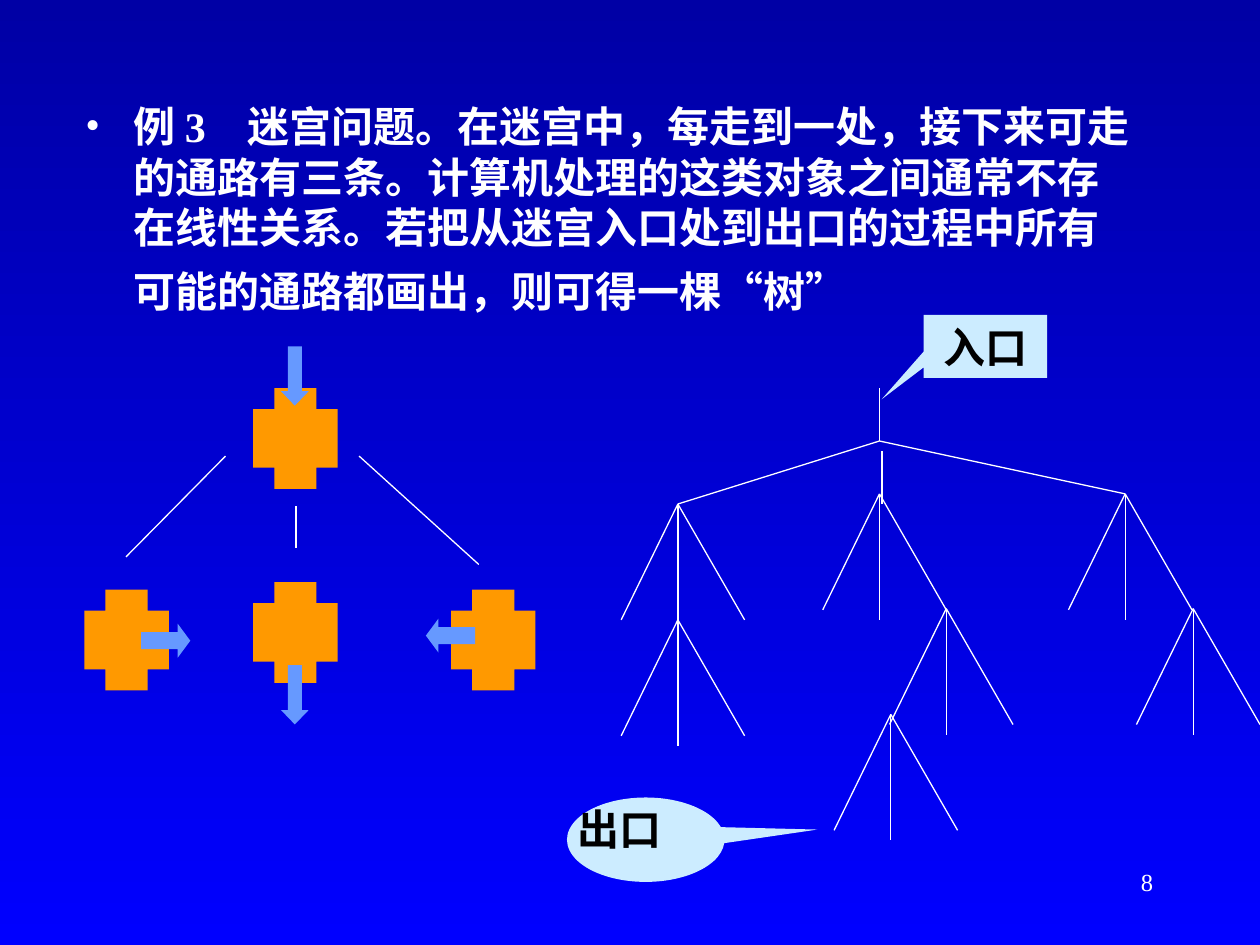
from dataclasses import dataclass

import lxml.etree
import pptx
import pptx.dml.color
import pptx.enum.shapes
import pptx.enum.text
import pptx.oxml.ns
import pptx.util

Inches = pptx.util.Inches
Shape = pptx.enum.shapes.MSO_SHAPE
Align = pptx.enum.text.PP_ALIGN
Anchor = pptx.enum.text.MSO_ANCHOR

COLORS = {
    "night": "0000A5",
    "blue": "0000FF",
    "white": "FFFFFF",
    "black": "000000",
    "room": "FF9900",
    "arrow": "6699FF",
    "callout": "CCECFF",
}
FONT = "Times New Roman"


@dataclass
class Box:
    left: float
    top: float
    width: float
    height: float

    def lengths(self) -> tuple:
        return tuple(Inches(v) for v in (self.left, self.top, self.width, self.height))


@dataclass
class Arrow:
    box: Box
    head: float
    rotation: int = 0


@dataclass
class Line:
    x1: float
    y1: float
    x2: float
    y2: float


def rgb(name: str) -> pptx.dml.color.RGBColor:
    return pptx.dml.color.RGBColor.from_string(COLORS[name])


def add_filled(slide, kind, box: Box, color: str, adjustments: tuple):
    shape = slide.shapes.add_shape(kind, *box.lengths())
    shape.shadow.inherit = False
    shape.fill.solid()
    shape.fill.fore_color.rgb = rgb(color)
    shape.line.fill.background()
    for index, value in enumerate(adjustments):
        shape.adjustments[index] = value
    return shape


def add_line(slide, line: Line) -> None:
    connector = slide.shapes.add_connector(
        pptx.enum.shapes.MSO_CONNECTOR.STRAIGHT,
        Inches(line.x1), Inches(line.y1), Inches(line.x2), Inches(line.y2))
    connector.line.color.rgb = rgb("white")
    connector.line.width = pptx.util.Pt(0.75)
    lxml.etree.SubElement(connector._element.spPr, pptx.oxml.ns.qn("a:effectLst"))


def add_branch(slide, x: float, y: float) -> None:
    """Three passages leading down from one node."""
    for dx, dy in ((-0.45, 0.92), (0, 1), (0.53, 0.92)):
        add_line(slide, Line(x, y, x + dx, y + dy))


def set_text(shape, text: str, size: float, color: str, bold: bool, align,
             wrap: bool = True, anchor=Anchor.TOP):
    frame = shape.text_frame
    frame.text = text
    frame.word_wrap = wrap
    frame.vertical_anchor = anchor
    paragraph = frame.paragraphs[0]
    paragraph.alignment = align
    format_run(paragraph.runs[0], size, color, bold)
    return paragraph


def format_run(run, size: float, color: str, bold: bool) -> None:
    run.font.name = FONT
    run.font.size = pptx.util.Pt(size)
    run.font.bold = bold
    run.font.color.rgb = rgb(color)


def add_bullet(paragraph, color: str) -> None:
    qn = pptx.oxml.ns.qn
    properties = paragraph._p.get_or_add_pPr()
    properties.set("marL", str(Inches(0.38)))
    properties.set("indent", str(Inches(-0.38)))
    bullet_color = lxml.etree.SubElement(properties, qn("a:buClr"))
    lxml.etree.SubElement(bullet_color, qn("a:srgbClr"), val=COLORS[color])
    lxml.etree.SubElement(properties, qn("a:buFont"), typeface=FONT)
    lxml.etree.SubElement(properties, qn("a:buChar"), char="•")


def add_background(slide) -> None:
    fill = slide.background.fill
    fill.gradient()
    fill.gradient_angle = 270
    for stop, position, color in zip(fill.gradient_stops, (0, 1), ("night", "blue")):
        stop.position = position
        stop.color.rgb = rgb(color)


def add_body(slide) -> None:
    body = slide.shapes.add_textbox(*Box(0.58, 0.75, 8.5, 5.75).lengths())
    text = ("例 3　迷宫问题。在迷宫中，每走到一处，接下来可走的通路有三条。"
            "计算机处理的这类对象之间通常不存在线性关系。"
            "若把从迷宫入口处到出口的过程中所有可能的通路都画出，则可得一棵“树”")
    paragraph = set_text(body, text, 24, "white", True, Align.LEFT)
    add_bullet(paragraph, "white")
    # The larger closing space sets the height of the last line
    closing = paragraph.add_run()
    closing.text = " "
    format_run(closing, 32, "white", False)


def add_maze(slide) -> None:
    # Crossings
    for left, top in ((2.01, 3.08), (0.67, 4.68), (3.58, 4.68), (2.01, 4.62)):
        add_filled(slide, Shape.CROSS, Box(left, top, 0.67, 0.8), "room", (0.25,))

    # Directions of travel
    arrows = (
        Arrow(Box(2.23, 2.75, 0.22, 0.47), 0.52),
        Arrow(Box(2.23, 5.28, 0.22, 0.47), 0.52),
        Arrow(Box(1.18, 4.89, 0.27, 0.39), 0.37, 270),
        Arrow(Box(3.44, 4.85, 0.27, 0.39), 0.37, 90),
    )
    for arrow in arrows:
        shape = add_filled(slide, Shape.DOWN_ARROW, arrow.box, "arrow", (0.5, arrow.head))
        shape.rotation = arrow.rotation

    # Passages between crossings
    for line in (Line(1.79, 3.62, 1, 4.42), Line(2.85, 3.62, 3.8, 4.48),
                 Line(2.35, 4.02, 2.35, 4.35)):
        add_line(slide, line)


def add_tree(slide) -> None:
    # Entrance and first level
    root_x, root_y = 6.98, 3.5
    add_line(slide, Line(7, 3.58, 7, 4))
    add_line(slide, Line(root_x, 3.08, root_x, root_y))
    for x, y in ((5.38, 4), (8.93, 3.92)):
        add_line(slide, Line(root_x, root_y, x, y))

    # Lower levels
    for x, y in ((5.38, 4), (6.98, 3.92), (8.93, 3.92), (7.51, 4.83),
                 (5.38, 4.92), (9.47, 4.83), (7.07, 5.67)):
        add_branch(slide, x, y)


def add_callouts(slide) -> None:
    entrance = add_filled(slide, Shape.RECTANGULAR_CALLOUT, Box(7.33, 2.5, 0.98, 0.5),
                          "callout", (-0.84, 0.84))
    set_text(entrance, "入口", 24, "black", True, Align.CENTER, anchor=Anchor.MIDDLE)
    add_filled(slide, Shape.OVAL_CALLOUT, Box(4.5, 6.33, 1.25, 0.67),
               "callout", (1.09, -0.12))
    label = slide.shapes.add_textbox(*Box(4.4, 6.33, 1.04, 0.5).lengths())
    set_text(label, "出口", 24, "black", True, Align.CENTER, wrap=False)


def main() -> None:
    presentation = pptx.Presentation()
    presentation.slide_width = Inches(10)
    presentation.slide_height = Inches(7.5)
    slide = presentation.slides.add_slide(presentation.slide_layouts[6])

    add_background(slide)
    number = slide.shapes.add_textbox(*Box(7.17, 6.83, 2.08, 0.5).lengths())
    set_text(number, "8", 14, "white", False, Align.RIGHT)
    add_body(slide)
    add_maze(slide)
    add_tree(slide)
    add_callouts(slide)
    presentation.save("out.pptx")


if __name__ == "__main__":
    main()
